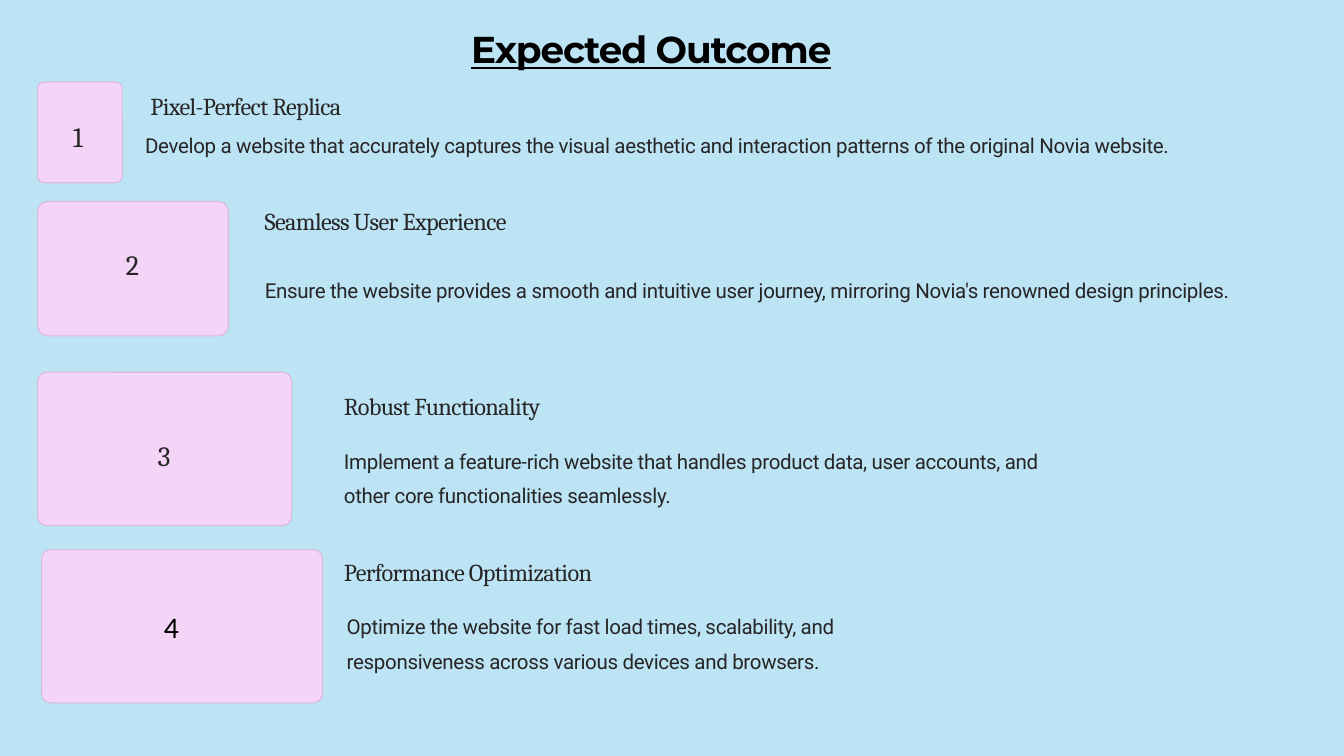
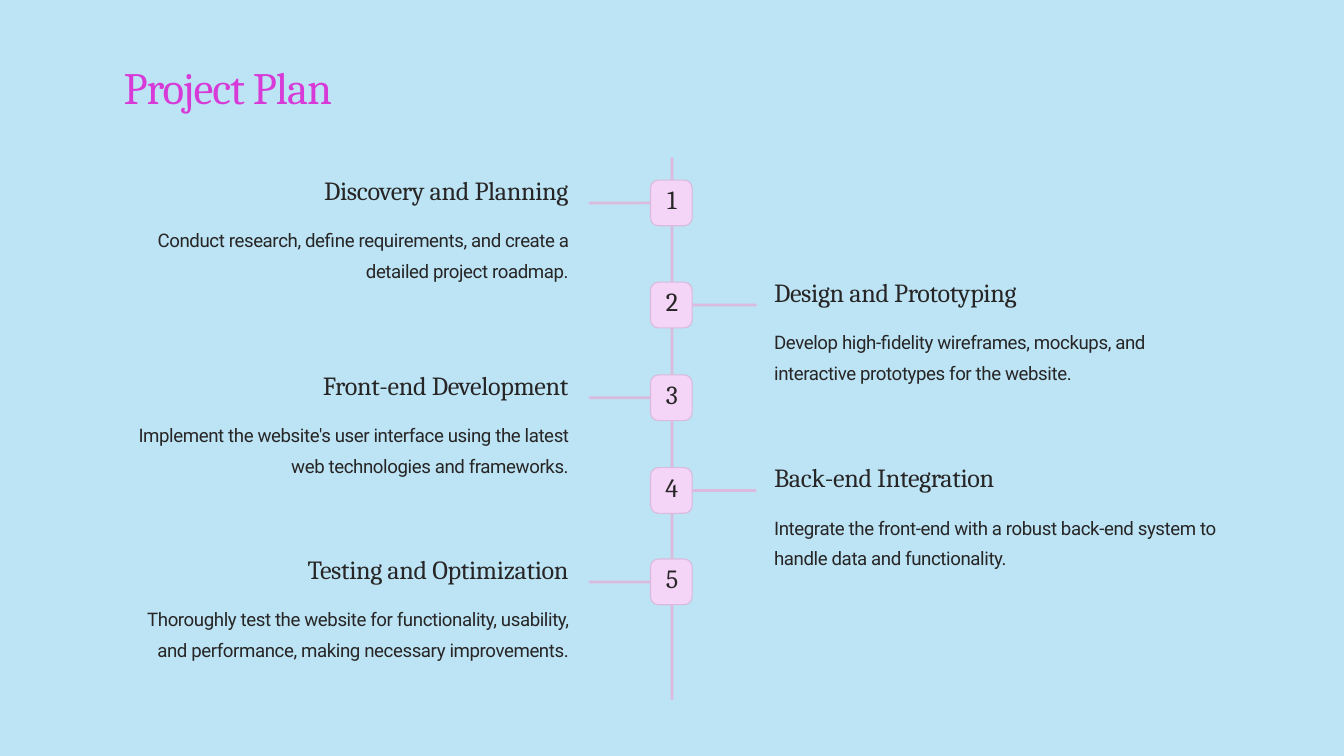
from typing import NamedTuple

import pptx
import pptx.dml.color
import pptx.enum.shapes
import pptx.enum.text
import pptx.util
from pptx.util import Inches

COLORS = {
    "background": "BCE4F5",
    "card": "F4D4F7",
    "edge": "DABADD",
    "text": "272525",
    "black": "000000",
    "accent": "D73AD7",
}
LEFT = pptx.enum.text.PP_ALIGN.LEFT
CENTER = pptx.enum.text.PP_ALIGN.CENTER
RIGHT = pptx.enum.text.PP_ALIGN.RIGHT
TITLE_ONLY = 5

# Text styles of the outcome slide
OUTCOME_NUMBER = dict(size=15, leading=23.1, spacing=-0.3, align=CENTER)
PLAIN_NUMBER = dict(size=16, font="Calibri", color="black", line_fraction=0.9, inset=(0.1, 0.05))
OUTCOME_HEADING = dict(size=13, leading=16.9, spacing=-0.3)
OUTCOME_BODY = dict(size=11, font="Roboto", leading=18.3, spacing=-0.2)

# Text styles of the plan slide
STEP_NUMBER = dict(size=14, leading=14.4, spacing=-0.3, align=CENTER)
STEP_HEADING = dict(size=14, leading=15, spacing=-0.2)
STEP_BODY = dict(size=10, font="Roboto", leading=16.5, spacing=-0.2, wrap=True)


class Box(NamedTuple):
    left: float
    top: float
    width: float
    height: float

    def lengths(self) -> list:
        return [Inches(value) for value in self]


class Outcome(NamedTuple):
    card: Box
    rounding: float
    number: Box
    heading: str
    heading_box: Box
    body: str
    body_box: Box
    wrap: bool = False
    number_style: dict = OUTCOME_NUMBER


class Step(NamedTuple):
    top: float
    heading: str
    body: str


OUTCOMES = [
    Outcome(
        Box(0.28, 0.61, 0.63, 0.75), 0.074, Box(0.42, 0.82, 0.32, 0.39),
        "Pixel-Perfect Replica", Box(1.12, 0.66, 1.7, 0.29),
        "Develop a website that accurately captures the visual aesthetic and "
        "interaction patterns of the original Novia website.",
        Box(1.08, 0.92, 6.66, 0.31),
    ),
    Outcome(
        Box(0.28, 1.5, 1.42, 1), 0.074, Box(0.94, 1.77, 0.09, 0.39),
        "Seamless User Experience", Box(1.97, 1.52, 1.93, 0.29),
        "Ensure the website provides a smooth and intuitive user journey, "
        "mirroring Novia's renowned design principles.",
        Box(1.97, 2, 6.35, 0.31),
    ),
    Outcome(
        Box(0.28, 2.77, 1.89, 1.14), 0.058, Box(1.06, 3.19, 0.32, 0.39),
        "Robust Functionality", Box(2.56, 2.89, 1.7, 0.29),
        "Implement a feature-rich website that handles product data, "
        "user accounts, and other core functionalities seamlessly.",
        Box(2.56, 3.27, 5.26, 0.62), wrap=True,
    ),
    Outcome(
        Box(0.31, 4.09, 2.09, 1.14), 0.058, Box(1.12, 4.51, 0.32, 0.34),
        "Performance Optimization", Box(2.56, 4.13, 1.97, 0.29),
        "Optimize the website for fast load times, scalability, and "
        "responsiveness across various devices and browsers.",
        Box(2.58, 4.5, 4.15, 0.62), wrap=True, number_style=PLAIN_NUMBER,
    ),
]

STEPS = [
    Step(1.34, "Discovery and Planning",
         "Conduct research, define requirements, and create a detailed project roadmap."),
    Step(2.1, "Design and Prototyping",
         "Develop high-fidelity wireframes, mockups, and interactive prototypes for the website."),
    Step(2.79, "Front-end Development",
         "Implement the website's user interface using the latest web technologies and frameworks."),
    Step(3.48, "Back-end Integration",
         "Integrate the front-end with a robust back-end system to handle data and functionality."),
    Step(4.16, "Testing and Optimization",
         "Thoroughly test the website for functionality, usability, and performance, "
         "making necessary improvements."),
]


def rgb(name: str) -> pptx.dml.color.RGBColor:
    return pptx.dml.color.RGBColor.from_string(COLORS[name])


def write_text(shape, text: str, *, size: float, font: str = "Cambria", color: str = "text",
               leading: float = 0, line_fraction: float = 1, spacing: float = 0,
               align=LEFT, wrap: bool = False, inset: tuple = (0, 0),
               bold: bool = False, underline: bool = False) -> None:
    """Fill a shape with one formatted paragraph; leading and spacing are in points."""
    frame = shape.text_frame
    frame.margin_left = frame.margin_right = Inches(inset[0])
    frame.margin_top = frame.margin_bottom = Inches(inset[1])
    frame.vertical_anchor = pptx.enum.text.MSO_ANCHOR.TOP
    frame.auto_size = pptx.enum.text.MSO_AUTO_SIZE.NONE
    frame.word_wrap = wrap
    paragraph = frame.paragraphs[0]
    paragraph.alignment = align
    paragraph.line_spacing = pptx.util.Pt(leading) if leading else line_fraction
    run = paragraph.add_run()
    run.text = text
    run.font.name = font
    run.font.size = pptx.util.Pt(size)
    run.font.bold = bold
    run.font.underline = underline
    run.font.color.rgb = rgb(color)
    if spacing:
        run.font._element.set("spc", str(round(spacing * 100)))


def add_text(slide, box: Box, text: str, **style) -> None:
    write_text(slide.shapes.add_textbox(*box.lengths()), text, **style)


def add_rounded(slide, box: Box, rounding: float, fill: str, outlined: bool) -> None:
    shape = slide.shapes.add_shape(
        pptx.enum.shapes.MSO_SHAPE.ROUNDED_RECTANGLE, *box.lengths())
    shape.adjustments[0] = rounding
    shape.shadow.inherit = False
    shape.fill.solid()
    shape.fill.fore_color.rgb = rgb(fill)
    if outlined:
        shape.line.color.rgb = rgb("edge")
        shape.line.width = pptx.util.Pt(0.6)
    else:
        shape.line.fill.background()


def add_card(slide, box: Box, rounding: float) -> None:
    add_rounded(slide, box, rounding, "card", outlined=True)


def add_bar(slide, box: Box) -> None:
    add_rounded(slide, box, 0.5, "edge", outlined=False)


def add_titled_slide(presentation, title: str, box: Box, **style):
    slide = presentation.slides.add_slide(presentation.slide_layouts[TITLE_ONLY])
    placeholder = slide.shapes.title
    placeholder.left, placeholder.top, placeholder.width, placeholder.height = box.lengths()
    write_text(placeholder, title, **style)
    return slide


def add_outcome(slide, number: int, outcome: Outcome) -> None:
    add_card(slide, outcome.card, outcome.rounding)
    add_text(slide, outcome.number, str(number), **outcome.number_style)
    add_text(slide, outcome.heading_box, outcome.heading, **OUTCOME_HEADING)
    add_text(slide, outcome.body_box, outcome.body, wrap=outcome.wrap, **OUTCOME_BODY)


def add_step(slide, number: int, step: Step) -> None:
    """Draw a timeline step: odd numbers to the left of the spine, even ones to the right."""
    on_left = number % 2 == 1
    align = RIGHT if on_left else LEFT
    heading_width, body_width = 1.7, 3.31
    heading_left = 4.23 - heading_width if on_left else 5.76
    body_left = 4.23 - body_width if on_left else 5.76

    add_bar(slide, Box(4.38 if on_left else 5.14, step.top + 0.16, 0.49, 0.02))
    add_card(slide, Box(4.84, step.top, 0.31, 0.34), 0.187)
    add_text(slide, Box(4.95, step.top + 0.06, 0.1, 0.22), str(number), **STEP_NUMBER)
    add_text(slide, Box(heading_left, step.top - 0.02, heading_width, 0.22),
             step.heading, align=align, **STEP_HEADING)
    add_text(slide, Box(body_left, step.top + 0.3, body_width, 0.49),
             step.body, align=align, **STEP_BODY)


def build_outcome_slide(presentation) -> None:
    slide = add_titled_slide(
        presentation, "Expected Outcome", Box(0.28, 0.06, 9.13, 0.57),
        size=20, font="Montserrat", color="black", leading=33.9, spacing=-0.6,
        align=CENTER, bold=True, underline=True)
    for number, outcome in enumerate(OUTCOMES, start=1):
        add_outcome(slide, number, outcome)


def build_plan_slide(presentation) -> None:
    slide = add_titled_slide(
        presentation, "Project Plan", Box(0.92, 0.42, 3.27, 0.45),
        size=24, color="accent", leading=30.3, spacing=-0.5)
    add_bar(slide, Box(4.99, 1.17, 0.02, 4.04))
    for number, step in enumerate(STEPS, start=1):
        add_step(slide, number, step)


def main() -> None:
    presentation = pptx.Presentation()
    presentation.slide_width = Inches(10)
    presentation.slide_height = Inches(10 * 9 / 16)
    background = presentation.slide_master.background.fill
    background.solid()
    background.fore_color.rgb = rgb("background")
    build_outcome_slide(presentation)
    build_plan_slide(presentation)
    presentation.save("out.pptx")


if __name__ == "__main__":
    main()
